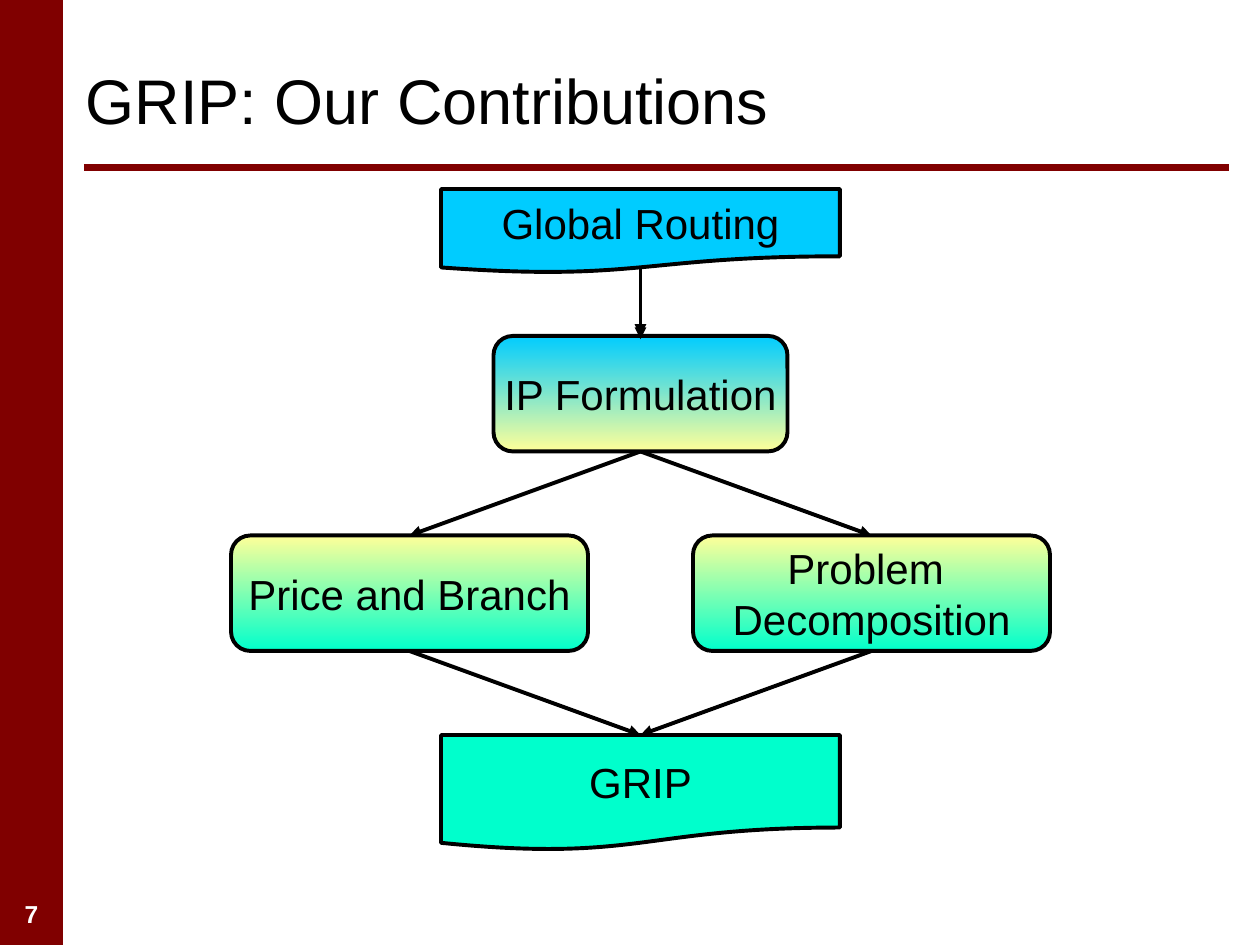
from dataclasses import dataclass
from lxml.etree import SubElement as Sub
from pptx import Presentation as Deck
from pptx.dml.color import RGBColor as Rgb
from pptx.enum.shapes import MSO_CONNECTOR as Link, MSO_SHAPE as Kind
from pptx.enum.text import MSO_ANCHOR as Anchor, PP_ALIGN as Align
from pptx.oxml.ns import qn
from pptx.util import Inches, Pt

COLS, ROWS = 120, 90
WIDE, HIGH = Inches(10), Inches(7.5)


@dataclass(frozen=True)
class Theme:
    face: str = "Arial"
    ink: str = "000000"
    paper: str = "FFFFFF"
    maroon: str = "800000"
    sky: str = "00CCFF"
    lemon: str = "FFFF99"
    mint: str = "00FFCC"
    head: float = 36
    body: float = 24
    page: float = 14
    edge: float = 2.25
    rule: float = 4


LOOK = Theme()


def span(col, row):
    return round(WIDE * col / COLS), round(HIGH * row / ROWS)


def put(item, values):
    for name, value in values.items():
        setattr(item, name, value)


def write(shape, text, size, color=LOOK.ink, align=Align.CENTER,
          anchor=Anchor.MIDDLE, wrap=False, bold=False):
    frame = shape.text_frame
    frame.text = text
    put(frame, {"word_wrap": wrap, "vertical_anchor": anchor})
    for para in frame.paragraphs:
        para.alignment = align
        put(para.font, {"name": LOOK.face, "size": Pt(size), "bold": bold})
        para.font.color.rgb = Rgb.from_string(color)


def label(slide, at, size, text, points, **style):
    box = slide.shapes.add_textbox(*span(*at), *span(*size))
    write(box, text, points, **style)


def block(slide, kind, at, size, colors):
    shape = slide.shapes.add_shape(kind, *span(*at), *span(*size))
    shape.shadow.inherit = False
    if len(colors) == 1:
        shape.fill.solid()
        shape.fill.fore_color.rgb = Rgb.from_string(colors[0])
    else:
        shape.fill.gradient()
        shape.fill.gradient_angle = 270
        for stop, color in zip(shape.fill.gradient_stops, colors):
            stop.color.rgb = Rgb.from_string(color)
    return shape


def node(slide, kind, at, size, colors, text):
    shape = block(slide, kind, at, size, colors)
    shape.line.color.rgb = Rgb.from_string(LOOK.ink)
    shape.line.width = Pt(LOOK.edge)
    write(shape, text, LOOK.body)


def line(slide, start, end, color=LOOK.ink, width=LOOK.edge, arrow=True):
    link = slide.shapes.add_connector(Link.STRAIGHT, *span(*start), *span(*end))
    link.line.color.rgb = Rgb.from_string(color)
    link.line.width = Pt(width)
    if arrow:
        Sub(link.line._get_or_add_ln(), qn("a:tailEnd"), type="triangle")
    Sub(link._element.spPr, qn("a:effectLst"))


def frame(slide):
    bar = block(slide, Kind.RECTANGLE, (0, 0), (6, ROWS), [LOOK.maroon])
    bar.line.fill.background()
    line(slide, (8, 16), (117, 16), LOOK.maroon, LOOK.rule, arrow=False)
    label(slide, (0, 85), (6, 4), "7", LOOK.page, color=LOOK.paper,
          anchor=Anchor.TOP, wrap=True, bold=True)
    label(slide, (7, 3), (110, 13), "GRIP: Our Contributions", LOOK.head,
          align=Align.LEFT, wrap=True)


def chart(slide):
    mid, left, right = 61, 39, 83
    tall = 11
    plan, step, goal = 32, 51, 70
    card, page = Kind.ROUNDED_RECTANGLE, Kind.FLOWCHART_DOCUMENT
    cool, warm = [LOOK.sky, LOOK.lemon], [LOOK.lemon, LOOK.mint]

    line(slide, (mid, 25), (mid, plan))
    for side in (left, right):
        line(slide, (mid, plan + tall), (side, step))
        line(slide, (side, step + tall), (mid, goal))
    nodes = [
        (card, mid, plan, 28, tall, cool, "IP Formulation"),
        (card, left, step, 34, tall, warm, "Price and Branch"),
        (card, right, step, 34, tall, warm, "Problem \nDecomposition"),
        (page, mid, goal, 38, tall, [LOOK.mint], "GRIP"),
        (page, mid, 18, 38, 8, [LOOK.sky], "Global Routing"),
    ]
    for kind, axis, top, wide, high, colors, text in nodes:
        node(slide, kind, (axis - wide / 2, top), (wide, high), colors, text)
    line(slide, (mid, 25.3), (mid, plan + 0.3))


def main():
    deck = Deck()
    put(deck, {"slide_width": WIDE, "slide_height": HIGH})
    slide = deck.slides.add_slide(deck.slide_layouts[6])
    frame(slide)
    chart(slide)
    deck.save("out.pptx")


if __name__ == "__main__":
    main()
